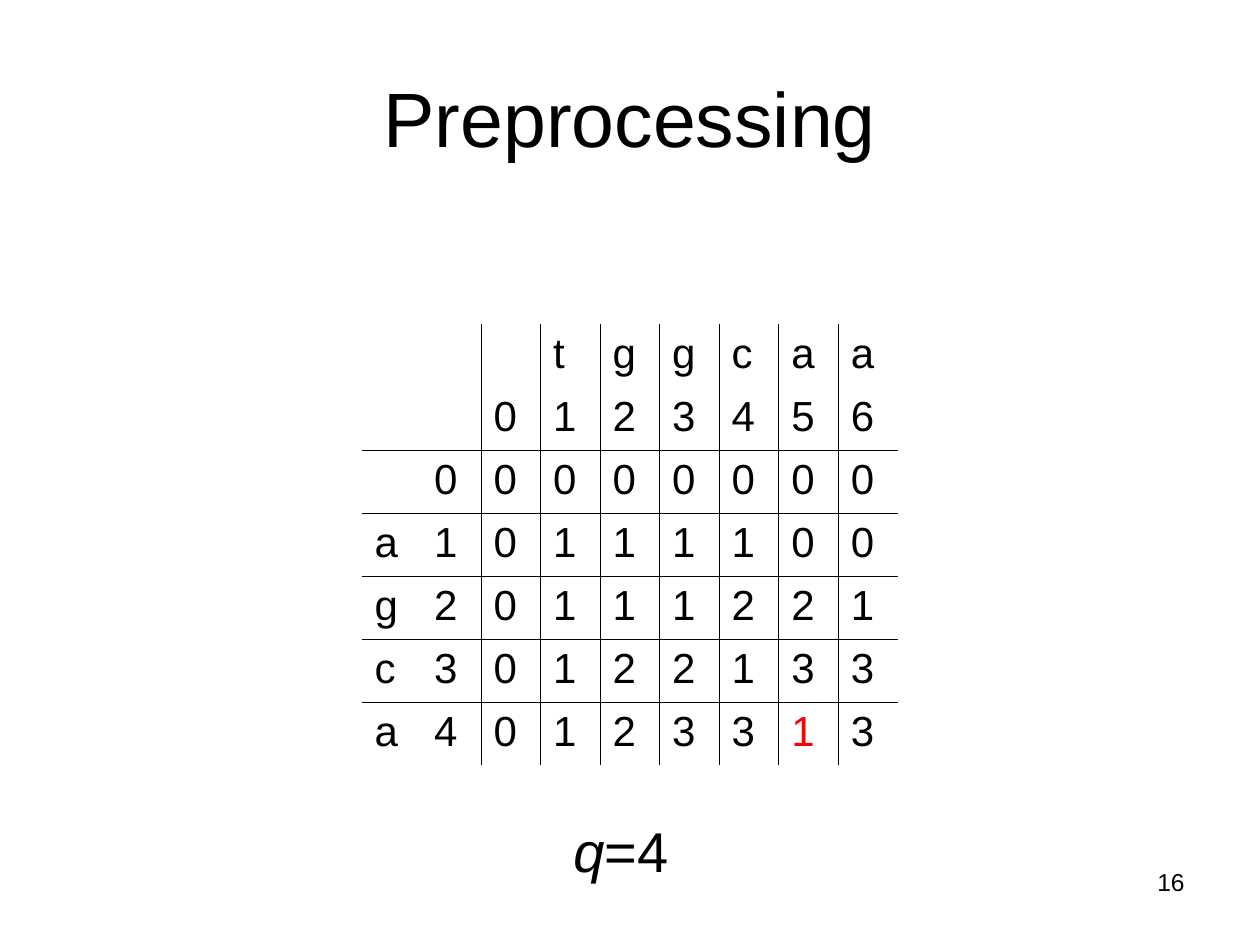
import pptx
import pptx.dml.color
import pptx.enum.text
import pptx.oxml.ns
import pptx.util
from lxml import etree

PX = 914400 // 126
COLORS = {"text": "000000", "border": "000000", "highlight": "FF0000"}
ALIGN = pptx.enum.text.PP_ALIGN
ANCHOR = pptx.enum.text.MSO_ANCHOR


def add_text(frame, text, size, color="text", align=ALIGN.LEFT, italic=False):
    """Append a run to the first paragraph of a text frame."""
    paragraph = frame.paragraphs[0]
    paragraph.alignment = align
    run = paragraph.add_run()
    run.text = text
    run.font.name = "Arial"
    run.font.size = pptx.util.Pt(size)
    run.font.italic = italic
    run.font.color.rgb = pptx.dml.color.RGBColor.from_string(COLORS[color])


def add_border(cell, side, visible):
    """Draw one cell edge (L, R, T or B), or switch it off."""
    properties = cell._tc.get_or_add_tcPr()
    name = pptx.oxml.ns.qn
    line = etree.SubElement(properties, name(f"a:ln{side}"))
    line.set("w", str(pptx.util.Pt(0.45)))
    if visible:
        fill = etree.SubElement(line, name("a:solidFill"))
        etree.SubElement(fill, name("a:srgbClr")).set("val", COLORS["border"])
    else:
        etree.SubElement(line, name("a:noFill"))


presentation = pptx.Presentation()
presentation.slide_width = 1260 * PX
presentation.slide_height = 945 * PX
slide = presentation.slides.add_slide(presentation.slide_layouts[6])

# Title
title = slide.shapes.add_textbox(63 * PX, 38 * PX, 1134 * PX, 157 * PX).text_frame
title.word_wrap = True
title.vertical_anchor = ANCHOR.MIDDLE
add_text(title, "Preprocessing", size=44, align=ALIGN.CENTER)

# Pattern length
length = slide.shapes.add_textbox(561 * PX, 810 * PX, 120 * PX, 81 * PX).text_frame
length.word_wrap = False
add_text(length, "q", size=32, italic=True)
add_text(length, "=4", size=32)

# Distance matrix: two header rows and two header columns
matrix = [
    ["", "", "", "t", "g", "g", "c", "a", "a"],
    ["", "", "0", "1", "2", "3", "4", "5", "6"],
    ["", "0", "0", "0", "0", "0", "0", "0", "0"],
    ["a", "1", "0", "1", "1", "1", "1", "0", "0"],
    ["g", "2", "0", "1", "1", "1", "2", "2", "1"],
    ["c", "3", "0", "1", "2", "2", "1", "3", "3"],
    ["a", "4", "0", "1", "2", "3", "3", "1", "3"],
]
row_count, column_count = len(matrix), len(matrix[0])
table_width, row_height = 536, 63
table = slide.shapes.add_table(
    row_count, column_count, 362 * PX, 324 * PX,
    table_width * PX, row_count * row_height * PX,
).table
table.first_row = False
table.horz_banding = False
for column in table.columns:
    column.width = table_width * PX // column_count

highlighted = (6, 7)
for row_index, values in enumerate(matrix):
    table.rows[row_index].height = row_height * PX
    for column_index, value in enumerate(values):
        cell = table.cell(row_index, column_index)
        add_border(cell, "L", column_index >= 2)
        add_border(cell, "R", 1 <= column_index < column_count - 1)
        add_border(cell, "T", row_index >= 2)
        add_border(cell, "B", 1 <= row_index < row_count - 1)
        cell.fill.background()
        if value:
            is_highlighted = (row_index, column_index) == highlighted
            add_text(cell.text_frame, value, size=24,
                     color="highlight" if is_highlighted else "text")

# Slide number
number = slide.shapes.add_textbox(903 * PX, 861 * PX, 294 * PX, 66 * PX).text_frame
number.word_wrap = True
add_text(number, "16", size=14, align=ALIGN.RIGHT)

presentation.save("out.pptx")
